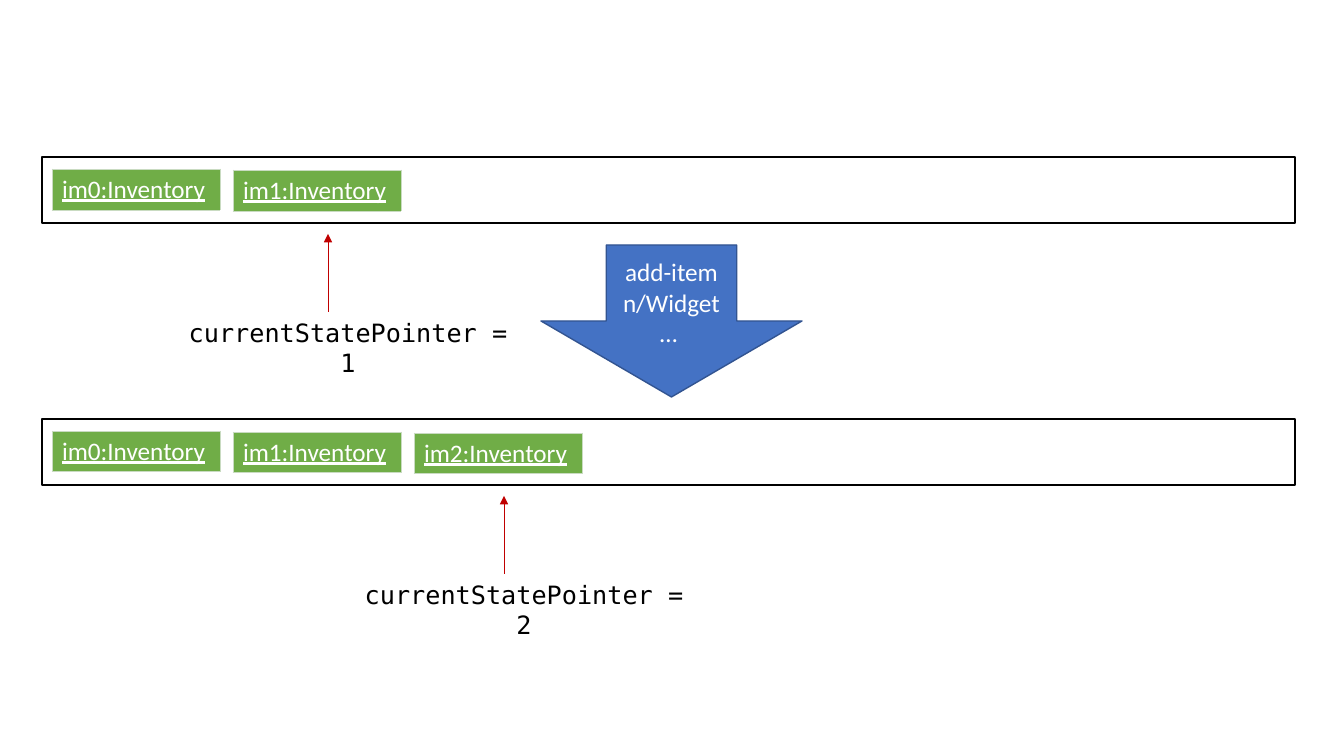
from lxml import etree
from pptx import Presentation, util as u
from pptx.dml.color import RGBColor
from pptx.enum import shapes, text
from pptx.oxml import ns

PX = 914400 / 100.8
WHITE = RGBColor(0xFF, 0xFF, 0xFF)
BLACK = RGBColor(0, 0, 0)
BLUE = RGBColor(0x44, 0x72, 0xC4)
NAVY = RGBColor(0x32, 0x54, 0x91)
GREEN = RGBColor(0x70, 0xAD, 0x47)
PALE = RGBColor(0xC9, 0xDB, 0xC1)
RED = RGBColor(0xC0, 0, 0)


def px(*lengths):
    """Turn pixel lengths into EMU."""
    return [u.Emu(round(n * PX)) for n in lengths]


def write(tf, words, font, color, align):
    """Put one formatted paragraph in a text frame."""
    p = tf.paragraphs[0]
    p.text = words
    p.alignment = align
    p.font.size = u.Pt(18)
    p.font.name = font
    p.font.color.rgb = color
    return p


def add_state(s, name, x, y):
    """Add a one-cell table that names an inventory state."""
    tbl = s.shapes.add_table(1, 1, *px(x, y, 168, 40)).table
    cell = tbl.cell(0, 0)
    cell.fill.solid()
    cell.fill.fore_color.rgb = GREEN
    p = write(cell.text_frame, name, "Calibri", WHITE, text.PP_ALIGN.LEFT)
    p.font.bold = False
    p.font.underline = True
    tc_pr = cell.fill._xPr
    for i, side in enumerate("LRTB"):
        ln = etree.Element(ns.qn(f"a:ln{side}"), w=str(u.Pt(0.5)))
        fill = etree.SubElement(ln, ns.qn("a:solidFill"))
        etree.SubElement(fill, ns.qn("a:srgbClr"), val=str(PALE))
        tc_pr.insert(i, ln)


def add_pointer(s, x, top, index):
    """Add a red arrow pointing up, with the pointer's value below it."""
    box = s.shapes.add_textbox(*px(x - 157, top + 78, 354, 40))
    tf = box.text_frame
    tf.word_wrap = True
    write(tf, f"currentStatePointer = {index}", "DejaVu Sans Mono", BLACK,
          text.PP_ALIGN.CENTER)
    line = s.shapes.add_connector(shapes.MSO_CONNECTOR.STRAIGHT,
                                  *px(x, top + 78, x, top))
    line.line.color.rgb = RED
    line.line.width = u.Pt(0.5)
    sp_pr = line._element.spPr
    etree.SubElement(sp_pr.find(ns.qn("a:ln")), ns.qn("a:tailEnd"), type="triangle")
    etree.SubElement(sp_pr, ns.qn("a:effectLst"))


def add_history(s, left, top, states, pointer_x):
    """Add a history bar with its states and the current state pointer."""
    bar = s.shapes.add_shape(shapes.MSO_SHAPE.RECTANGLE, *px(left, top, 1253, 66))
    bar.shadow.inherit = False
    bar.fill.background()
    bar.line.color.rgb = BLACK
    bar.line.width = u.Pt(1)
    for i in range(states):
        add_state(s, f"im{i}:Inventory", left + 10 + 181 * i, top + 12 + i)
    add_pointer(s, left + pointer_x, top + 77, states - 1)


def add_command(s, x, y, w, h):
    """Add the block arrow for the command between two histories."""
    sp = s.shapes.add_shape(shapes.MSO_SHAPE.DOWN_ARROW, *px(x, y, w, h))
    sp.shadow.inherit = False
    sp.fill.solid()
    sp.fill.fore_color.rgb = BLUE
    sp.line.color.rgb = NAVY
    sp.line.width = u.Pt(1)
    tf = sp.text_frame
    tf.word_wrap = True
    tf.vertical_anchor = text.MSO_ANCHOR.MIDDLE
    write(tf, "add-item n/Widget… ", "Calibri", WHITE, text.PP_ALIGN.CENTER)


prs = Presentation()
prs.slide_width, prs.slide_height = px(1344, 756)
s = prs.slides.add_slide(prs.slide_layouts[6])
add_command(s, 541, 245, 261, 152)
add_history(s, 42, 157, 2, 286)
add_history(s, 42, 419, 3, 462)
prs.save("out.pptx")
